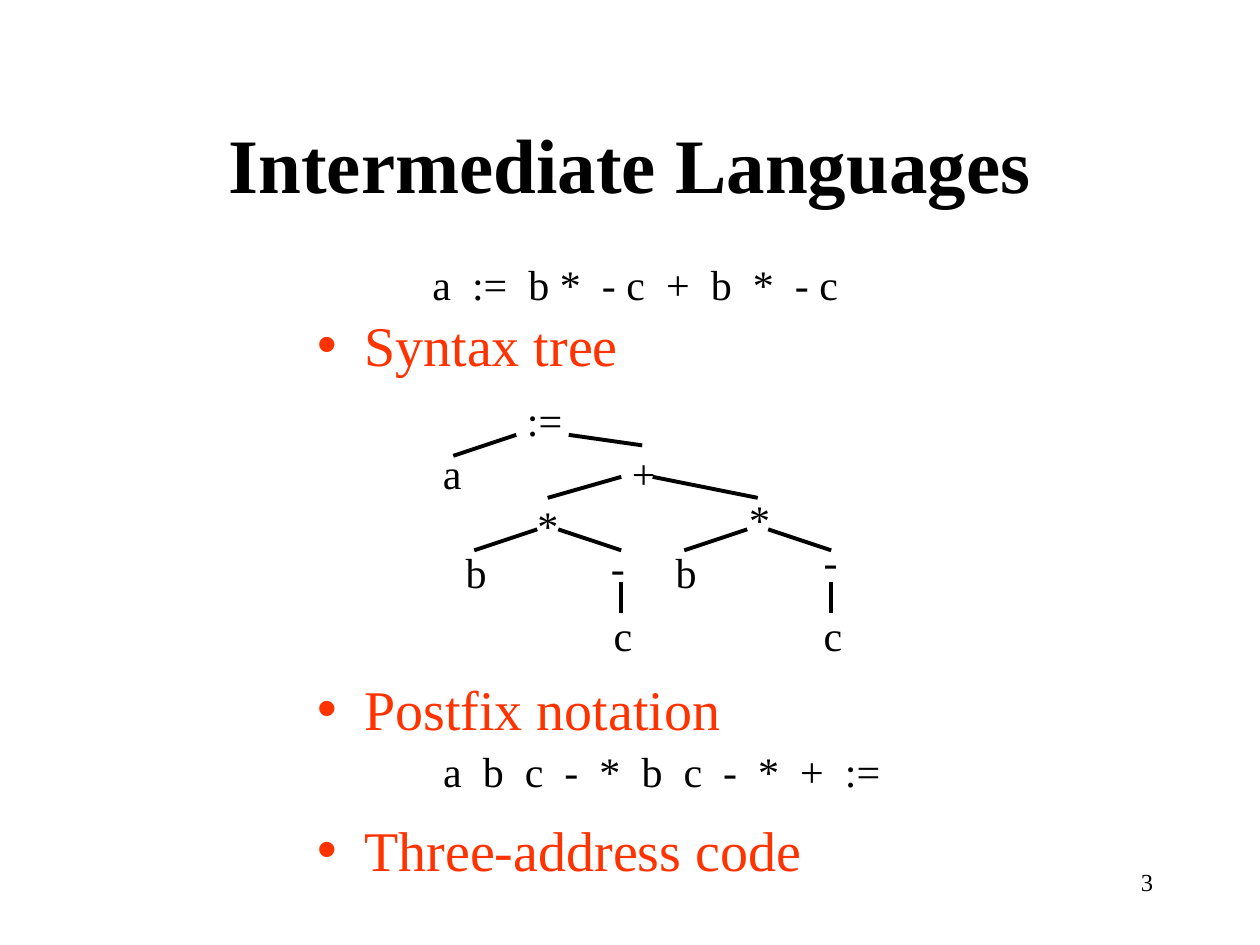
from dataclasses import dataclass

import pptx
import pptx.dml.color
import pptx.enum.shapes
import pptx.enum.text
import pptx.oxml.ns
import pptx.util
from lxml import etree

Pt = pptx.util.Pt
RGBColor = pptx.dml.color.RGBColor
ALIGN = pptx.enum.text.PP_ALIGN
ANCHOR = pptx.enum.text.MSO_ANCHOR

BLACK = RGBColor(0x00, 0x00, 0x00)
ORANGE = RGBColor(0xFF, 0x33, 0x00)
FACE = "Times New Roman"
TITLE_FONT = {"name": FACE, "size": Pt(44), "bold": True}
TOPIC_FONT = {"name": FACE, "size": Pt(32), "bold": False}
CODE_FONT = {"name": FACE, "size": Pt(24), "bold": False}
NUMBER_FONT = {"name": FACE, "size": Pt(14), "bold": False}

SYMBOL_WIDTHS = {":=": 34.6, "a": 25.2, "b": 25.9, "c": 25.2,
                 "+": 28.1, "*": 25.9, "-": 22.3}
RIGHT_SHIFT = 120


@dataclass(frozen=True)
class Node:
    symbol: str
    left: float
    top: float


@dataclass(frozen=True)
class Edge:
    x1: float
    y1: float
    x2: float
    y2: float


@dataclass(frozen=True)
class Topic:
    text: str
    space_before: float
    code: tuple = ()


def set_attributes(target, values: dict) -> None:
    for name, value in values.items():
        setattr(target, name, value)


def set_font(font, values: dict, color: RGBColor) -> None:
    set_attributes(font, values)
    font.color.rgb = color


def add_box(shapes, left: float, top: float, width: float, wrap: bool):
    """Add a one-line text box and return its paragraph."""
    box = shapes.add_textbox(Pt(left), Pt(top), Pt(width), Pt(36))
    box.text_frame.word_wrap = wrap
    return box.text_frame.paragraphs[0]


def write_code(paragraph, groups: tuple) -> None:
    """Write token groups with a wide space between them."""
    for index, group in enumerate(groups):
        if index:
            gap = paragraph.add_run()
            gap.text = " "
            gap.font._element.set("spc", "600")
            set_font(gap.font, CODE_FONT, BLACK)
        run = paragraph.add_run()
        run.text = group
        set_font(run.font, CODE_FONT, BLACK)


def set_bullet(paragraph, indent: float, hanging: float, char: str = "") -> None:
    properties = paragraph._p.get_or_add_pPr()
    properties.set("marL", str(Pt(indent)))
    properties.set("indent", str(-Pt(hanging)))
    qn = pptx.oxml.ns.qn
    if char:
        color = etree.SubElement(properties, qn("a:buClr"))
        etree.SubElement(color, qn("a:srgbClr")).set("val", str(ORANGE))
        etree.SubElement(properties, qn("a:buChar")).set("char", char)
    else:
        etree.SubElement(properties, qn("a:buNone"))


def add_topics(frame, topics: list[Topic]) -> None:
    for index, topic in enumerate(topics):
        paragraph = frame.add_paragraph() if index else frame.paragraphs[0]
        set_bullet(paragraph, 27, 27, "•")
        paragraph.space_before = Pt(topic.space_before)
        run = paragraph.add_run()
        run.text = topic.text
        set_font(run.font, TOPIC_FONT, ORANGE)
        if topic.code:
            example = frame.add_paragraph()
            set_bullet(example, 72, 0)
            example.space_before = Pt(2)
            write_code(example, topic.code)


def add_node(shapes, node: Node) -> None:
    label = add_box(shapes, node.left, node.top, SYMBOL_WIDTHS[node.symbol], False)
    write_code(label, (node.symbol,))


def add_edge(shapes, edge: Edge, shift: float = 0) -> None:
    line = shapes.add_connector(
        pptx.enum.shapes.MSO_CONNECTOR.STRAIGHT,
        Pt(edge.x1 + shift), Pt(edge.y1), Pt(edge.x2 + shift), Pt(edge.y2))
    line.line.width = Pt(2.25)
    line.line.color.rgb = BLACK
    etree.SubElement(line._element.spPr, pptx.oxml.ns.qn("a:effectLst"))


NODES = [
    Node(":=", 294, 222), Node("a", 246, 252), Node("+", 354, 252),
    # Left product
    Node("*", 300, 282), Node("b", 259, 309), Node("-", 342, 306), Node("c", 343.5, 345),
    # Right product
    Node("*", 421, 278.5), Node("b", 379, 309), Node("-", 463.5, 302.5),
    Node("c", 463.5, 345),
]
TOP_EDGES = [
    Edge(295, 248.5, 259, 260.5), Edge(325, 248.5, 367, 254.5),
    Edge(355, 272.5, 313, 284.5), Edge(373, 272.5, 433, 284.5),
]
PRODUCT_EDGES = [
    Edge(307, 302.5, 271, 314.5), Edge(319, 302.5, 355, 314.5),
    Edge(355, 332.5, 355, 350.5),
]
TOPICS = [
    Topic("Syntax tree", 0),
    Topic("Postfix notation", 169.5, ("a", "b", "c", "-", "*", "b", "c", "-", "*", "+", ":=")),
    Topic("Three-address code", 11),
]
EXPRESSION = ("a", ":=", "b *", "- c", "+", "b", "*", "- c")


def main() -> None:
    deck = pptx.Presentation()
    set_attributes(deck, {"slide_width": Pt(720), "slide_height": Pt(540)})
    slide = deck.slides.add_slide(deck.slide_layouts[1])
    shapes = slide.shapes

    # Title
    title = shapes.title
    set_attributes(title, {"left": Pt(54), "top": Pt(48), "width": Pt(612), "height": Pt(90)})
    title.text_frame.text = "Intermediate Languages"
    title.text_frame.vertical_anchor = ANCHOR.MIDDLE
    heading = title.text_frame.paragraphs[0]
    heading.alignment = ALIGN.CENTER
    set_font(heading.runs[0].font, TITLE_FONT, BLACK)

    # Topics
    body = slide.placeholders[1]
    set_attributes(body, {"left": Pt(174), "top": Pt(174), "width": Pt(612), "height": Pt(330)})
    set_attributes(body.text_frame, {"vertical_anchor": ANCHOR.TOP,
                                     "auto_size": pptx.enum.text.MSO_AUTO_SIZE.NONE})
    add_topics(body.text_frame, TOPICS)

    # Source expression
    write_code(add_box(shapes, 240, 144, 246, False), EXPRESSION)

    # Syntax tree
    tree = shapes.add_group_shape().shapes
    for node in NODES:
        add_node(tree, node)
    for edge in TOP_EDGES:
        add_edge(tree, edge)
    for shift in (0, RIGHT_SHIFT):
        for edge in PRODUCT_EDGES:
            add_edge(tree, edge, shift)

    # Slide number
    number = add_box(shapes, 516, 492, 150, True)
    number.alignment = ALIGN.RIGHT
    run = number.add_run()
    run.text = "3"
    set_font(run.font, NUMBER_FONT, BLACK)

    deck.save("out.pptx")


if __name__ == "__main__":
    main()
